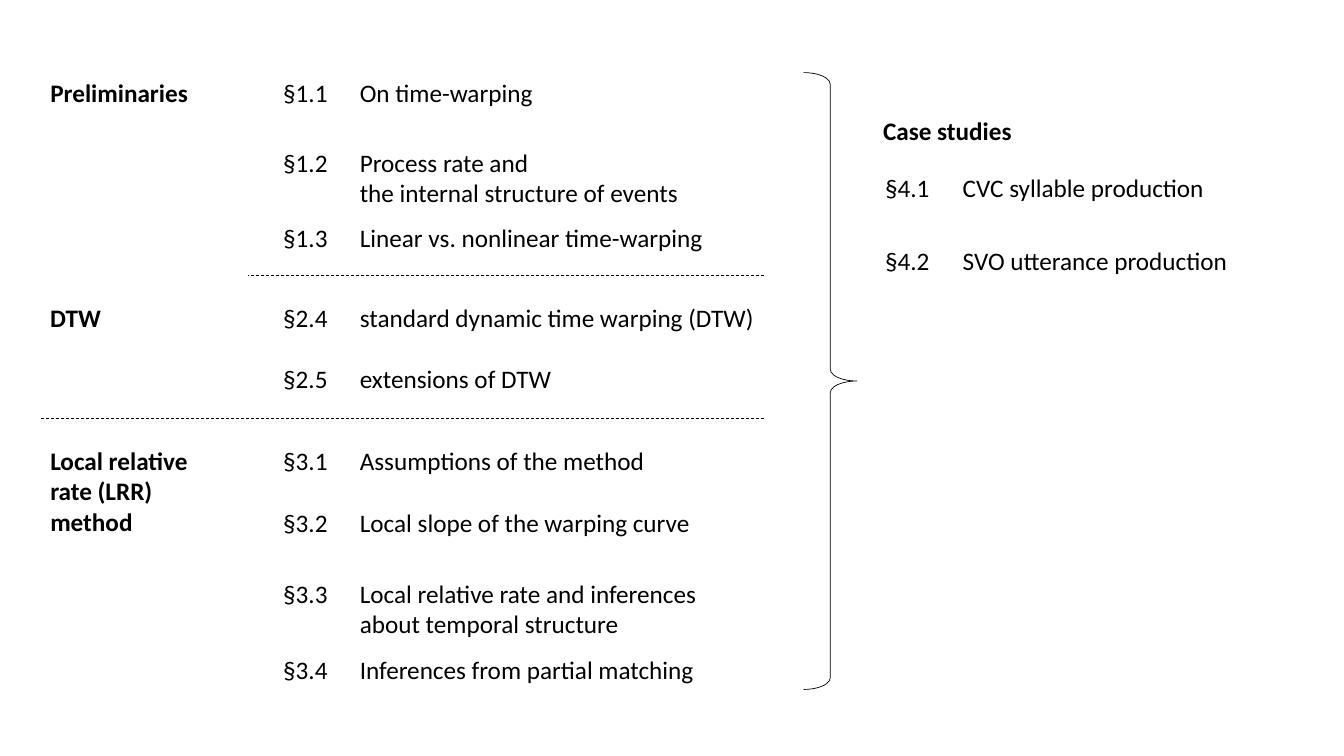
"""Build a section outline slide with topics on the left and case studies on the right."""
from pptx import Presentation
from pptx.dml.color import RGBColor
from pptx.enum.dml import MSO_LINE
from pptx.enum.shapes import MSO_CONNECTOR, MSO_SHAPE
from pptx.enum.text import MSO_AUTO_SIZE
from pptx.oxml.ns import qn
from pptx.util import Inches, Pt
from lxml.etree import SubElement

BLACK = RGBColor(0x00, 0x00, 0x00)
FONT = "Calibri"
LINE_HEIGHT = 0.305
NUMBER_WIDTH = 0.65
TOPIC_COLUMNS = (2.71, 3.47)
CASE_COLUMNS = (8.68, 9.45)
RULE_RIGHT = 7.58

HEADINGS = [
    ("Preliminaries", 0.4, 0.72, 1.58),
    ("DTW", 0.4, 2.95, 0.77),
    ("Local relative\nrate (LRR)\nmethod", 0.4, 4.37, 1.58),
    ("Case studies", 8.66, 1.09, 1.49),
]
TOPICS = [
    ("§1.1", "On time-warping", 0.72, 3.72),
    ("§1.2", "Process rate and\nthe internal structure of events", 1.41, 3.42),
    ("§1.3", "Linear vs. nonlinear time-warping", 2.16, 3.64),
    ("§2.4", "standard dynamic time warping (DTW)", 2.95, 4.18),
    ("§2.5", "extensions of DTW", 3.56, 2.12),
    ("§3.1", "Assumptions of the method", 4.37, 3.11),
    ("§3.2", "Local slope of the warping curve", 4.98, 3.52),
    ("§3.3", "Local relative rate and inferences\nabout temporal structure", 5.69, 3.58),
    ("§3.4", "Inferences from partial matching", 6.44, 3.55),
]
CASES = [
    ("§4.1", "CVC syllable production", 1.66, 2.62),
    ("§4.2", "SVO utterance production", 2.38, 2.86),
]
RULES = [(2.46, 2.73), (0.4, 4.15)]


def add_text(s, text, left, top, width, bold=False, wrap=False):
    lines = text.split("\n")
    height = 0.4 + LINE_HEIGHT * (len(lines) - 1)
    sp = s.shapes.add_textbox(Inches(left), Inches(top), Inches(width), Inches(height))
    tf = sp.text_frame
    tf.word_wrap = wrap
    tf.auto_size = MSO_AUTO_SIZE.SHAPE_TO_FIT_TEXT
    tf.text = text
    for p in tf.paragraphs:
        for r in p.runs:
            r.font.name = FONT
            r.font.size = Pt(18)
            r.font.bold = bold
            r.font.color.rgb = BLACK


def add_sections(s, sections, columns):
    number_left, title_left = columns
    for number, title, top, width in sections:
        add_text(s, number, number_left, top, NUMBER_WIDTH)
        add_text(s, title, title_left, top, width, wrap=number == "§1.1")


def format_line(line):
    line.color.rgb = BLACK
    line.width = Pt(0.5)


def add_rule(s, left, top):
    rule = s.shapes.add_connector(
        MSO_CONNECTOR.STRAIGHT, Inches(RULE_RIGHT), Inches(top), Inches(left), Inches(top)
    )
    format_line(rule.line)
    rule.line.dash_style = MSO_LINE.DASH
    SubElement(rule._element.spPr, qn("a:effectLst"))


def add_brace(s, left, top, width, height):
    brace = s.shapes.add_shape(
        MSO_SHAPE.RIGHT_BRACE, Inches(left), Inches(top), Inches(width), Inches(height)
    )
    brace.adjustments[0] = 0.22
    brace.shadow.inherit = False
    brace.fill.background()
    format_line(brace.line)


def main():
    prs = Presentation()
    prs.slide_width, prs.slide_height = Inches(13.33), Inches(7.5)
    s = prs.slides.add_slide(prs.slide_layouts[6])
    for text, left, top, width in HEADINGS:
        add_text(s, text, left, top, width, bold=True)
    add_sections(s, TOPICS, TOPIC_COLUMNS)
    for left, top in RULES:
        add_rule(s, left, top)
    add_brace(s, 7.97, 0.72, 0.53, 6.12)
    add_sections(s, CASES, CASE_COLUMNS)
    prs.save("out.pptx")


if __name__ == "__main__":
    main()
